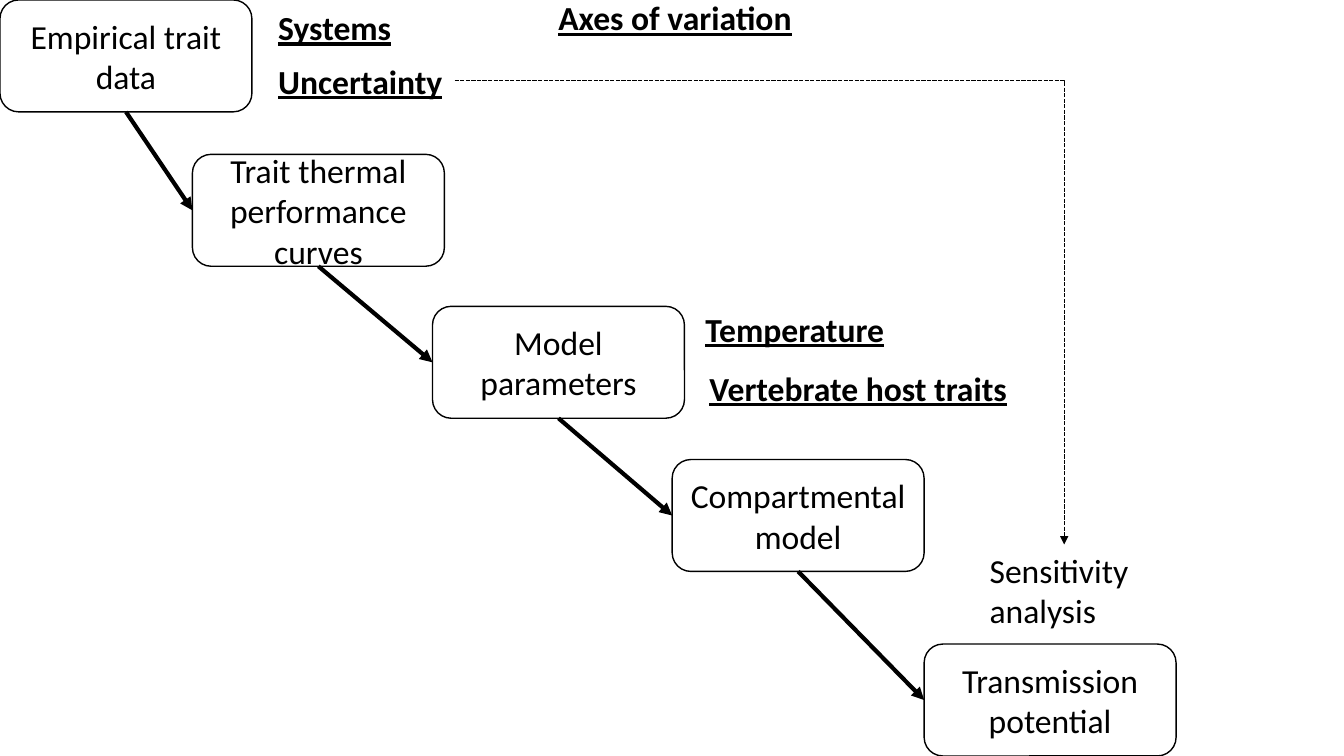
"""Build a slide showing the modelling steps from trait data to transmission potential."""
import itertools
from dataclasses import dataclass

import pptx
import pptx.dml.color
import pptx.enum.dml
import pptx.enum.shapes
import pptx.enum.text
import pptx.oxml
import pptx.oxml.ns
import pptx.util

Cm = pptx.util.Cm
Align = pptx.enum.text.PP_ALIGN
Anchor = pptx.enum.text.MSO_ANCHOR
Connector = pptx.enum.shapes.MSO_CONNECTOR

COLOURS = {"ink": "000000"}
FONT = "Calibri"
STEP_WIDTH, STEP_HEIGHT = 6.35, 2.82


@dataclass
class Step:
    """A rounded box in the chain, placed in centimetres."""
    text: str
    left: float
    top: float


@dataclass
class Label:
    """A free-standing caption, placed in centimetres."""
    text: str
    left: float
    top: float
    width: float
    height: float = 1.27
    heading: bool = True
    wrap: bool = False


STEPS = [
    Step("Empirical trait data", 0, 0),
    Step("Trait thermal performance curves", 4.85, 3.89),
    Step("Model parameters", 10.9, 7.72),
    Step("Compartmental model", 16.94, 11.58),
    Step("Transmission potential", 23.29, 16.23),
]
TITLE = Label("Axes of variation", 13.82, -0.2, 6.88, wrap=True)
LABELS = [
    Label("Systems", 6.76, 0.05, 3.4),
    Label("Uncertainty", 6.76, 1.4, 4.7),
    Label("Temperature", 17.53, 7.65, 5.05),
    Label("Vertebrate host traits", 17.63, 9.14, 8.1),
    Label("Sensitivity analysis", 24.69, 13.72, 4.24, 2.31, heading=False, wrap=True),
]


def colour(name: str) -> pptx.dml.color.RGBColor:
    """Look up a named colour."""
    return pptx.dml.color.RGBColor.from_string(COLOURS[name])


def write_text(box, text: str, *, align=Align.LEFT, anchor=Anchor.TOP, heading: bool = False,
               wrap: bool = True, inset: tuple = (0.25, 0.13)) -> None:
    """Put formatted text into a shape."""
    frame = box.text_frame
    frame.auto_size = pptx.enum.text.MSO_AUTO_SIZE.NONE
    frame.word_wrap = wrap
    frame.vertical_anchor = anchor
    frame.margin_left = frame.margin_right = Cm(inset[0])
    frame.margin_top = frame.margin_bottom = Cm(inset[1])
    para = frame.paragraphs[0]
    para.alignment = align
    span = para.add_run()
    span.text = text
    span.font.name = FONT
    span.font.size = pptx.util.Pt(24)
    span.font.bold = span.font.underline = heading
    span.font.color.rgb = colour("ink")


def style_line(line, width: float) -> None:
    """Give a line its colour and width in points."""
    line.color.rgb = colour("ink")
    line.width = pptx.util.Pt(width)


def add_step(page, step: Step):
    """Draw one rounded box of the chain."""
    box = page.shapes.add_shape(
        pptx.enum.shapes.MSO_SHAPE.ROUNDED_RECTANGLE,
        Cm(step.left), Cm(step.top), Cm(STEP_WIDTH), Cm(STEP_HEIGHT))
    box.shadow.inherit = False
    box.fill.background()
    style_line(box.line, 1)
    write_text(box, step.text, align=Align.CENTER, anchor=Anchor.MIDDLE, inset=(0.33, 0.15))
    return box


def fill_label(box, label: Label) -> None:
    """Place a text shape and write its caption."""
    box.left, box.top = Cm(label.left), Cm(label.top)
    box.width, box.height = Cm(label.width), Cm(label.height)
    write_text(box, label.text, heading=label.heading, wrap=label.wrap)


def add_arrow(page, kind, start: tuple, end: tuple, width: float):
    """Draw a connector with a triangular head at its end."""
    arrow = page.shapes.add_connector(kind, *map(Cm, start + end))
    style_line(arrow.line, width)
    namespace = pptx.oxml.ns.nsdecls("a")
    arrow.line._get_or_add_ln().append(
        pptx.oxml.parse_xml(f'<a:tailEnd {namespace} type="triangle"/>'))
    arrow._element.spPr.append(pptx.oxml.parse_xml(f"<a:effectLst {namespace}/>"))
    return arrow


def main() -> None:
    """Assemble and save the deck."""
    deck = pptx.Presentation()
    deck.slide_width, deck.slide_height = Cm(33.87), Cm(19.05)
    page = deck.slides.add_slide(deck.slide_layouts.get_by_name("Title Only"))
    fill_label(page.shapes.title, TITLE)

    boxes = [add_step(page, step) for step in STEPS]
    for label in LABELS:
        fill_label(page.shapes.add_textbox(0, 0, 0, 0), label)

    for upper, lower in itertools.pairwise(boxes):
        arrow = add_arrow(page, Connector.STRAIGHT, (0, 0), (0, 0), 3)
        arrow.begin_connect(upper, 2)
        arrow.end_connect(lower, 1)

    route = add_arrow(page, Connector.ELBOW, (11.46, 2.03), (26.82, 13.72), 1)
    route.line.dash_style = pptx.enum.dml.MSO_LINE.SQUARE_DOT
    route._element.spPr.prstGeom.set("prst", "bentConnector2")

    deck.save("out.pptx")


if __name__ == "__main__":
    main()
